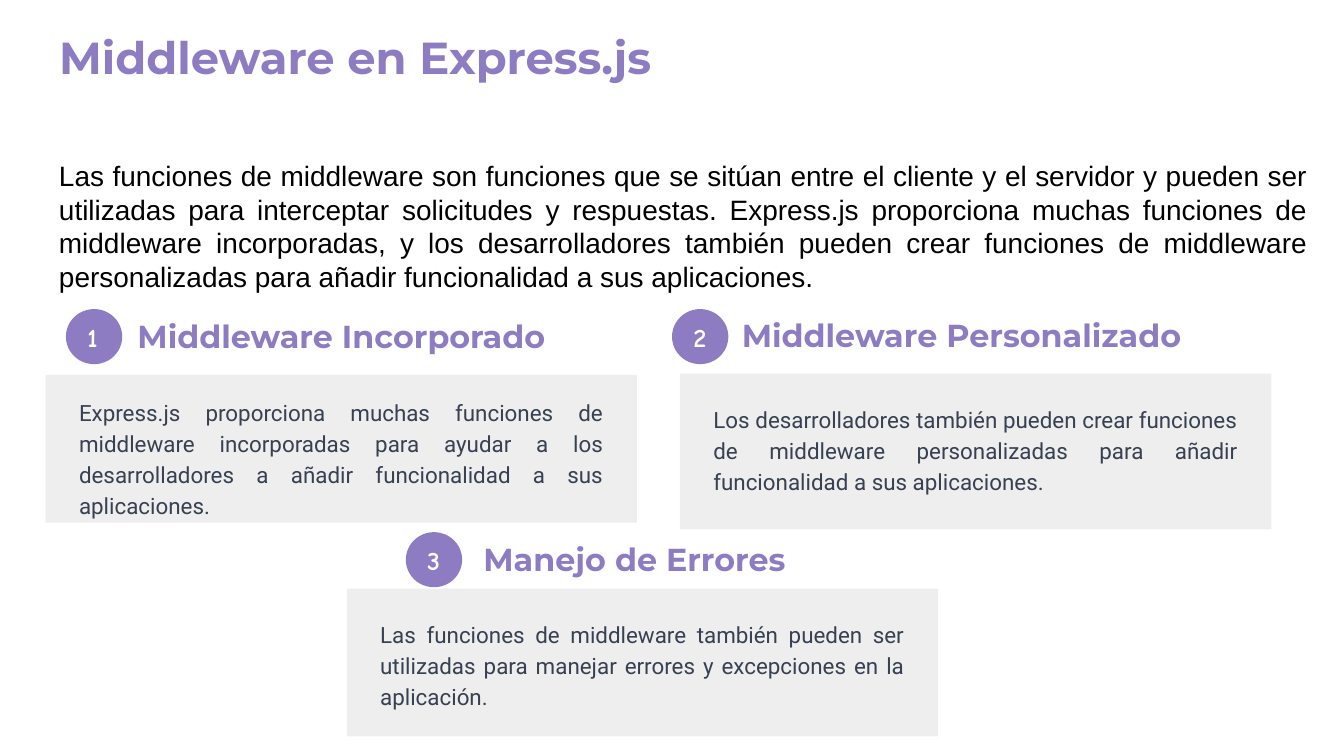
"""Build the slide on middleware in Express.js."""
import pptx
import pptx.dml.color
import pptx.enum.shapes
import pptx.enum.text
import pptx.util

Pt = pptx.util.Pt
RGBColor = pptx.dml.color.RGBColor
ALIGN = pptx.enum.text.PP_ALIGN
ANCHOR = pptx.enum.text.MSO_ANCHOR
AUTO = pptx.enum.text.MSO_AUTO_SIZE
SHAPE = pptx.enum.shapes.MSO_SHAPE

PURPLE = RGBColor(0x8E, 0x7C, 0xC3)
GREY = RGBColor(0xEE, 0xEE, 0xEE)
SLATE = RGBColor(0x37, 0x41, 0x51)
BLACK = RGBColor(0, 0, 0)
WHITE = RGBColor(255, 255, 255)

TITLE = {"name": "Montserrat", "size": Pt(24), "bold": True}
INTRO = {"name": "Arial", "size": Pt(15), "bold": False}
HEADING = {"name": "Montserrat", "size": Pt(17), "bold": True}
BODY = {"name": "Roboto", "size": Pt(12), "bold": False}
NUMBER = {"name": "Comic Neue", "size": Pt(14), "bold": True}
LOOSE = {"line_spacing": 1.15, "space_before": Pt(15), "space_after": Pt(15)}


def write(sp, text, font, color, align=ALIGN.LEFT, frame={}, para={}):
    tf = sp.text_frame
    defaults = {
        "word_wrap": True, "auto_size": AUTO.NONE, "vertical_anchor": ANCHOR.TOP,
        "margin_left": Pt(7.2), "margin_right": Pt(7.2),
        "margin_top": Pt(7.2), "margin_bottom": Pt(7.2),
    }
    p = tf.paragraphs[0]
    r = p.add_run()
    r.text = text
    r.font.color.rgb = color
    for obj, values in (
        (tf, {**defaults, **frame}),
        (p, {"alignment": align, **para}),
        (r.font, font),
    ):
        for key, value in values.items():
            setattr(obj, key, value)


def add_filled(s, kind, box, color):
    sp = s.shapes.add_shape(kind, *map(Pt, box))
    sp.shadow.inherit = False
    sp.fill.solid()
    sp.fill.fore_color.rgb = color
    sp.line.fill.background()
    return sp


prs = pptx.Presentation()
prs.slide_width, prs.slide_height = Pt(720), Pt(405)
s = prs.slides.add_slide(prs.slide_layouts[5])

sp = s.shapes.title
sp.left, sp.top, sp.width, sp.height = map(Pt, (24.5, 8.6, 671, 45.4))
write(sp, "Middleware en Express.js", TITLE, PURPLE)

sp = s.shapes.add_textbox(Pt(24.5), Pt(81.4), Pt(683.3), Pt(79.2))
write(
    sp,
    "Las funciones de middleware son funciones que se sitúan entre el cliente y el "
    "servidor y pueden ser utilizadas para interceptar solicitudes y respuestas. "
    "Express.js proporciona muchas funciones de middleware incorporadas, y los "
    "desarrolladores también pueden crear funciones de middleware personalizadas "
    "para añadir funcionalidad a sus aplicaciones.",
    INTRO, BLACK, ALIGN.JUSTIFY, {"margin_top": Pt(3.6), "margin_bottom": Pt(3.6)},
)

sections = [
    {
        "card": (24.5, 200.9, 316.8, 79.2), "circle": (35.3, 165.6),
        "heading": (64.8, 162.7, 236.2, 35.3), "body": (204.5, 79.2),
        "title": "Middleware Incorporado",
        "text": "Express.js proporciona muchas funciones de middleware incorporadas "
                "para ayudar a los desarrolladores a añadir funcionalidad a sus "
                "aplicaciones.",
    },
    {
        "card": (364.3, 200.2, 316.8, 83.5), "circle": (360, 165.6),
        "heading": (360, 162, 310.3, 35.3), "body": (208.1, 62.6),
        "title": "Middleware Personalizado",
        "text": "Los desarrolladores también pueden crear funciones de middleware "
                "personalizadas para añadir funcionalidad a sus aplicaciones.",
    },
    {
        "card": (185.8, 315.4, 316.8, 79.2), "circle": (217.4, 285.1),
        "heading": (221.8, 282.2, 236.2, 35.3), "body": (323.3, 62.6),
        "title": "Manejo de Errores",
        "text": "Las funciones de middleware también pueden ser utilizadas para "
                "manejar errores y excepciones en la aplicación.",
    },
]
grow = {"auto_size": AUTO.SHAPE_TO_FIT_TEXT}
for number, section in enumerate(sections, 1):
    add_filled(s, SHAPE.RECTANGLE, section["card"], GREY)

    sp = s.shapes.add_textbox(*map(Pt, section["heading"]))
    write(sp, section["title"], HEADING, PURPLE, ALIGN.CENTER, grow)

    top, height = section["body"]
    sp = s.shapes.add_textbox(Pt(section["card"][0] + 10.8), Pt(top), Pt(295.2), Pt(height))
    write(sp, section["text"], BODY, SLATE, ALIGN.JUSTIFY, grow, LOOSE)

    sp = add_filled(s, SHAPE.OVAL, (*section["circle"], 30.2, 29.5), PURPLE)
    write(sp, str(number), NUMBER, WHITE, frame={"vertical_anchor": ANCHOR.MIDDLE})

prs.save("out.pptx")
